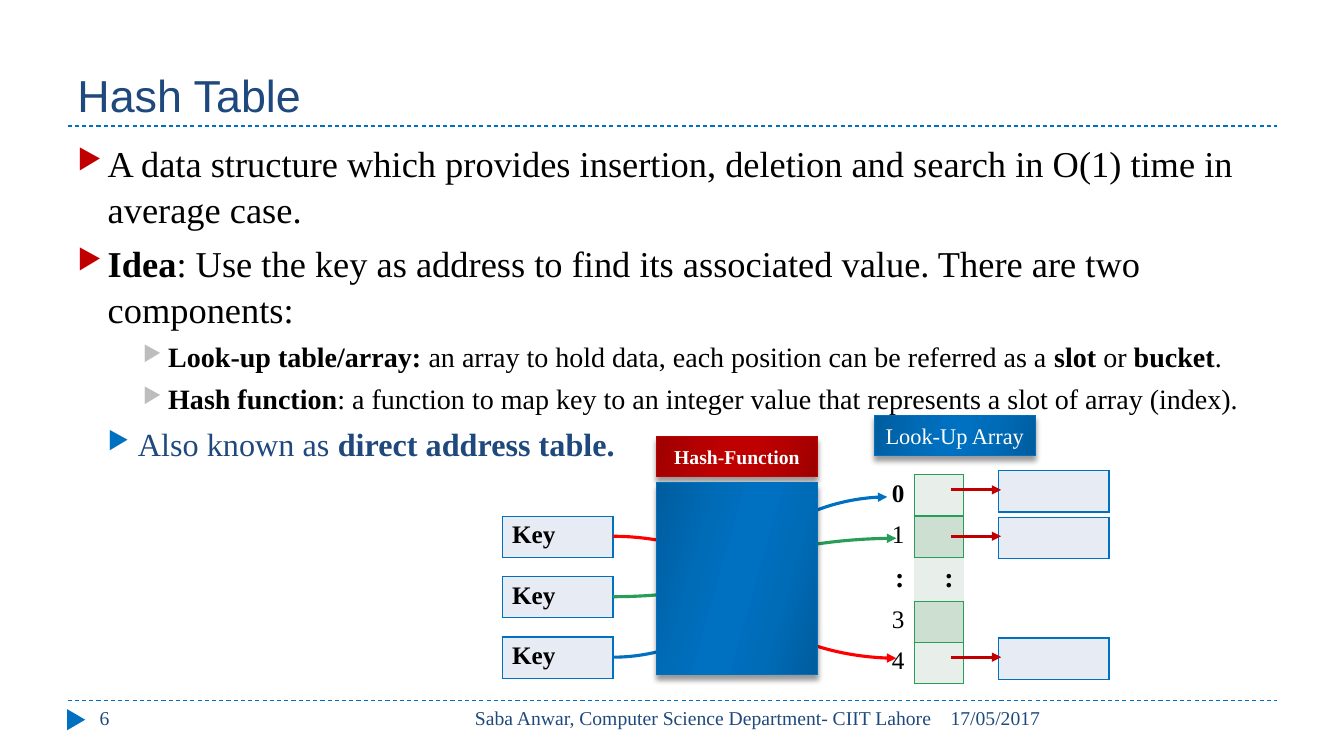
import pptx
import pptx.dml.color
import pptx.enum.dml
import pptx.enum.shapes
import pptx.enum.text
import pptx.oxml
import pptx.oxml.ns
import pptx.util
from dataclasses import dataclass

Inches = pptx.util.Inches
Pt = pptx.util.Pt
ALIGN = pptx.enum.text.PP_ALIGN
ANCHOR = pptx.enum.text.MSO_ANCHOR
SHAPE = pptx.enum.shapes.MSO_SHAPE
CONNECTOR = pptx.enum.shapes.MSO_CONNECTOR


@dataclass(frozen=True)
class Theme:
    heading_font: str = "Arial"
    body_font: str = "Times New Roman"
    navy: str = "1F497D"
    blue: str = "0070C0"
    red: str = "C00000"
    bright_red: str = "FF0000"
    green: str = "279D57"
    gray: str = "BDBDBD"
    black: str = "000000"
    white: str = "FFFFFF"
    slot_light: str = "E8EFEA"
    slot_dark: str = "CDDFD1"
    record: str = "E7EBF4"
    blue_shades: tuple = ("005C9D", "006BB7", "0070C0")
    red_shades: tuple = ("9D0000", "B70000", "C00000")
    title_size: int = 32
    footer_size: int = 14
    body_size: int = 26
    sub_size: int = 23
    detail_size: int = 20
    cell_size: int = 18
    banner_size: int = 16


THEME = Theme()
ROW = 0.41


def rgb(color):
    return pptx.dml.color.RGBColor.from_string(color)


def element(tag, attributes="", inner=""):
    namespaces = pptx.oxml.ns.nsdecls("a")
    return pptx.oxml.parse_xml(f"<a:{tag} {namespaces} {attributes}>{inner}</a:{tag}>")


def style_run(run, size, color, bold=False, font=THEME.body_font):
    run.font.name = font
    run.font.size = Pt(size)
    run.font.bold = bold
    run.font.color.rgb = rgb(color)


def add_text(slide, box, text, size, anchor=ANCHOR.TOP, align=ALIGN.LEFT, font=THEME.body_font):
    text_frame = slide.shapes.add_textbox(*map(Inches, box)).text_frame
    text_frame.word_wrap = True
    text_frame.vertical_anchor = anchor
    text_frame.text = text
    paragraph = text_frame.paragraphs[0]
    paragraph.alignment = align
    style_run(paragraph.runs[0], size, THEME.navy, font=font)


def add_line(slide, start, end, color, width, kind=CONNECTOR.STRAIGHT, arrow=False, dashed=False):
    connector = slide.shapes.add_connector(kind, *map(Inches, (*start, *end)))
    connector.line.color.rgb = rgb(color)
    connector.line.width = Pt(width)
    if dashed:
        connector.line.dash_style = pptx.enum.dml.MSO_LINE.DASH
    if arrow:
        connector.line._get_or_add_ln().append(element("tailEnd", 'type="triangle"'))
    connector._element.spPr.append(element("effectLst"))


def add_panel(slide, box, shades, text="", size=THEME.banner_size, bold=False):
    """Rectangle with a symmetric gradient and a soft shadow below it."""
    shape = slide.shapes.add_shape(SHAPE.RECTANGLE, *map(Inches, box))
    shape.line.color.rgb = rgb(shades[2])
    shape.line.width = Pt(0.75)
    positions = (0, 30, 45, 55, 73, 100)
    stops = "".join(
        f'<a:gs pos="{position * 1000}"><a:srgbClr val="{color}"/></a:gs>'
        for position, color in zip(positions, shades + shades[::-1]))
    properties = shape._element.spPr
    gradient = element("gradFill", 'rotWithShape="1"',
                       f'<a:gsLst>{stops}</a:gsLst><a:lin ang="{16 * 60000}" scaled="0"/>')
    properties.insert(2, gradient)
    shadow = (f'<a:outerShdw blurRad="{Pt(4)}" dist="{Pt(3.4)}" dir="5400000" rotWithShape="0">'
              f'<a:srgbClr val="{THEME.black}"><a:alpha val="40000"/></a:srgbClr></a:outerShdw>')
    properties.append(element("effectLst", "", shadow))
    if text:
        shape.text_frame.text = text
        shape.text_frame.vertical_anchor = ANCHOR.MIDDLE
        paragraph = shape.text_frame.paragraphs[0]
        paragraph.alignment = ALIGN.CENTER
        style_run(paragraph.runs[0], size, THEME.white, bold)


def style_cell(cell, fill, border, sides, text="", size=THEME.cell_size, bold=False, align=ALIGN.LEFT):
    if fill:
        cell.fill.solid()
        cell.fill.fore_color.rgb = rgb(fill)
    else:
        cell.fill.background()
    properties = cell._tc.get_or_add_tcPr()
    for index, side in enumerate("LRTB"):
        paint = f'<a:solidFill><a:srgbClr val="{border}"/></a:solidFill>' if side in sides else "<a:noFill/>"
        properties.insert(index, element(f"ln{side}", f'w="{Pt(1)}"', paint))
    if text:
        cell.text_frame.text = text
        paragraph = cell.text_frame.paragraphs[0]
        paragraph.alignment = align
        style_run(paragraph.runs[0], size, THEME.black, bold)


def add_grid(slide, left, top, rows, columns, column_width):
    frame = slide.shapes.add_table(rows, columns, Inches(left), Inches(top),
                                   Inches(column_width * columns), Inches(ROW * rows))
    table = frame.table
    table.first_row = table.horz_banding = False
    for row in table.rows:
        row.height = Inches(ROW)
    return table


def add_record(slide, left, top, text=""):
    cell = add_grid(slide, left, top, 1, 1, 1.1).cell(0, 0)
    style_cell(cell, THEME.record, THEME.blue, "LRTB", text, bold=True)


def build_frame(slide, left, width):
    """Title, dashed rules and footer."""
    for y in (6.95, 1.25):
        add_line(slide, (left, y), (left + width, y), THEME.blue, 0.75, dashed=True)
    marker = slide.shapes.add_shape(SHAPE.ISOSCELES_TRIANGLE, *map(Inches, (left - 0.02, 7.05, 0.21, 0.18)))
    marker.rotation = 90
    marker.shadow.inherit = False
    marker.fill.solid()
    marker.fill.fore_color.rgb = rgb(THEME.blue)
    marker.line.fill.background()
    add_text(slide, (left, 0.17, width, 1.08), "Hash Table", THEME.title_size,
             ANCHOR.BOTTOM, font=THEME.heading_font)
    footers = (
        (8.66, 3.34, "17/05/2017", ALIGN.LEFT),
        (3.56, 5.11, "Saba Anwar, Computer Science Department- CIIT Lahore", ALIGN.RIGHT),
        (0.22, 2.89, "6", ALIGN.LEFT))
    for offset, box_width, text, align in footers:
        add_text(slide, (left + offset, 6.95, box_width, 0.4), text, THEME.footer_size, align=align)


def build_body(slide, box):
    """Bulleted text; every second piece of a paragraph is bold."""
    levels = {  # indent, hanging, space before, bullet colour, size, text colour
        0: (0.3, 0.3, 6, THEME.red, THEME.body_size, THEME.black),
        1: (0.6, 0.3, 5, THEME.blue, THEME.sub_size, THEME.navy),
        2: (0.9, 0.25, 5, THEME.gray, THEME.detail_size, THEME.black)}
    content = (
        (0, "A data structure which provides insertion, deletion and search in O(1) time in average case."),
        (0, "", "Idea", ": Use the key as address to find its associated value. There are two components:"),
        (2, "", "Look-up table/array: ", "an array to hold data, each position can be referred as a ",
         "slot", " or ", "bucket", "."),
        (2, "", "Hash function",
         ": a function to map key to an integer value that represents a slot of array (index)."),
        (1, "Also known as ", "direct address table."))
    text_frame = slide.shapes.add_textbox(*map(Inches, box)).text_frame
    text_frame.word_wrap = True
    for number, (level, *pieces) in enumerate(content):
        indent, hanging, space, bullet, size, color = levels[level]
        paragraph = text_frame.add_paragraph() if number else text_frame.paragraphs[0]
        paragraph.level = level
        paragraph.line_spacing = 1.05
        paragraph.space_before = Pt(space if number else 0)
        properties = paragraph._p.get_or_add_pPr()
        properties.set("marL", str(Inches(indent)))
        properties.set("indent", str(-Inches(hanging)))
        properties.append(element("buClr", "", f'<a:srgbClr val="{bullet}"/>'))
        properties.append(element("buSzPct", 'val="76000"'))
        properties.append(element("buChar", 'char="▶"'))
        for index, piece in enumerate(pieces):
            if piece:
                run = paragraph.add_run()
                run.text = piece
                style_run(run, size, color, bold=index % 2 == 1)


def build_diagram(slide, left, top):
    """Keys pass through the hash function into the look-up array."""
    array_left, array_top = left + 3.6, top + 0.59
    array = add_grid(slide, array_left, array_top, 5, 2, 0.49)
    for row, label in enumerate("01:34"):
        gap = label == ":"
        size = THEME.detail_size if gap else THEME.cell_size
        style_cell(array.cell(row, 0), None, THEME.green, "" if gap else "R", label, size,
                   bold=label in "0:", align=ALIGN.RIGHT)
        style_cell(array.cell(row, 1), THEME.slot_dark if row % 2 else THEME.slot_light, THEME.green,
                   "TB" if gap else "LRTB", ":" if gap else "", size, True, ALIGN.RIGHT)

    # Records that the slots point to
    for offset in (0.55, 1.01, 2.21):
        add_record(slide, left + 4.92, top + offset)
        y = top + offset + 0.19
        add_line(slide, (left + 4.45, y), (left + 4.95, y), THEME.red, 2.25, arrow=True)

    # Keys and their paths to the slots
    paths = ((THEME.bright_red, 3.91, 2.41), (THEME.green, 3.91, 1.22), (THEME.blue, 3.82, 0.81))
    for index, (color, end_x, end_y) in enumerate(paths):
        key_top = top + 1 + 0.6 * index
        add_record(slide, left, key_top, "Key")
        add_line(slide, (left + 1.1, key_top + 0.2), (left + end_x, top + end_y), color, 2.25,
                 CONNECTOR.CURVE, arrow=True)

    # Banners and the box that covers the middle of the paths
    add_panel(slide, (left + 3.69, top, 1.6, 0.4), THEME.blue_shades, "Look-Up Array ")
    add_panel(slide, (left + 1.53, top + 0.21, 1.6, 0.4), THEME.red_shades, "Hash-Function",
              THEME.footer_size, True)
    add_panel(slide, (left + 1.53, top + 0.67, 1.6, 1.9), THEME.blue_shades)


def main():
    presentation = pptx.Presentation()
    presentation.slide_width, presentation.slide_height = Inches(13.33), Inches(7.5)
    slide = presentation.slides.add_slide(presentation.slide_layouts[6])
    build_frame(slide, 0.67, 12)
    build_body(slide, (0.67, 1.33, 12, 5.4))
    build_diagram(slide, 4.98, 4.12)
    presentation.save("out.pptx")


if __name__ == "__main__":
    main()
